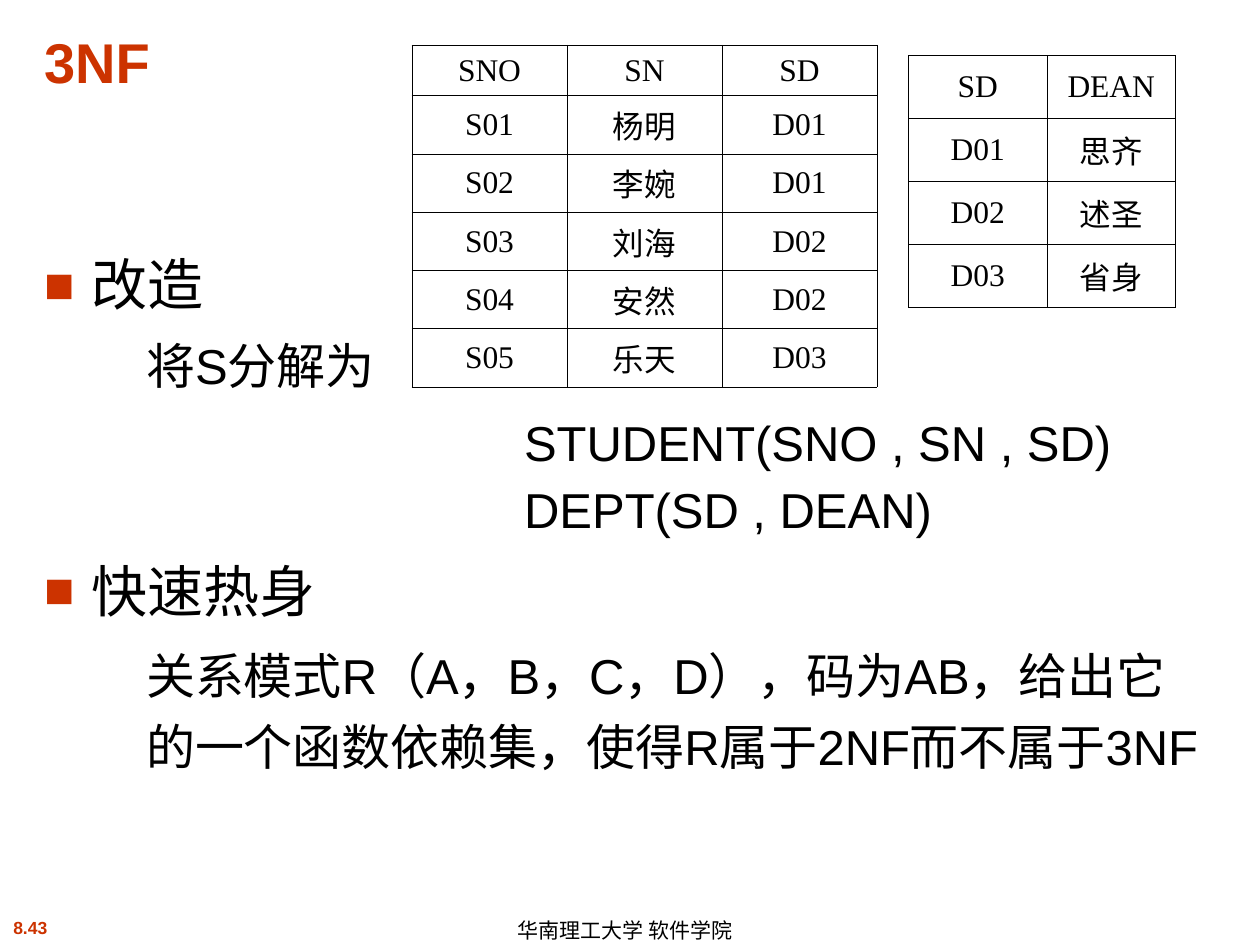
from lxml.etree import SubElement, Element
from pptx import Presentation
from pptx.dml.color import RGBColor
from pptx.enum.text import MSO_ANCHOR as Anchor, MSO_AUTO_SIZE as AutoSize, PP_ALIGN as Align
from pptx.oxml.ns import qn
from pptx.util import Inches, Pt

RED = RGBColor(0xCC, 0x33, 0x00)
BLACK = RGBColor(0, 0, 0)
WHITE = RGBColor(0xFF, 0xFF, 0xFF)

STUDENT_ROWS = [
    ("SNO", "SN", "SD"),
    ("S01", "杨明", "D01"),
    ("S02", "李婉", "D01"),
    ("S03", "刘海", "D02"),
    ("S04", "安然", "D02"),
    ("S05", "乐天", "D03"),
]
DEPT_ROWS = [("SD", "DEAN"), ("D01", "思齐"), ("D02", "述圣"), ("D03", "省身")]

# text, level, left indent, line spacing, space before
BODY_LINES = [
    ("改造", 0, 0.38, 0.95, 0),
    ("将S分解为", 1, 0.81, 0.95, 12.2),
    ("STUDENT(SNO , SN , SD)", 1, 3.81, 0.95, 12.2),
    ("DEPT(SD , DEAN)", 1, 3.81, 0.95, 6),
    ("快速热身", 0, 0.38, 1.1, 6),
    ("关系模式R（A，B，C，D），码为AB，给出它的一个函数依赖集，使得R属于2NF而不属于3NF",
     1, 0.81, 1.2, 6),
]


def style(para, size, color=BLACK, name="Arial", bold=False):
    font = para.font
    font.name, font.size, font.bold = name, Pt(size), bold
    font.color.rgb = color


def place(shape, left, top, width, height):
    shape.left, shape.top = Inches(left), Inches(top)
    shape.width, shape.height = Inches(width), Inches(height)


def add_title(page, text):
    title = page.shapes.title
    place(title, 0.25, 0.13, 9.42, 0.67)
    frame = title.text_frame
    frame.text = text
    frame.auto_size = AutoSize.NONE
    frame.vertical_anchor = Anchor.BOTTOM
    para = frame.paragraphs[0]
    para.alignment = Align.LEFT
    style(para, 32, RED, bold=True)


def set_bullet(para, indent, bulleted):
    props = para._p.get_or_add_pPr()
    props.set("marL", str(Inches(indent)))
    props.set("indent", str(-Inches(indent) if bulleted else 0))
    if bulleted:
        color = SubElement(props, qn("a:buClr"))
        SubElement(color, qn("a:srgbClr"), val=str(RED))
        SubElement(props, qn("a:buSzPct"), val="90000")
        SubElement(props, qn("a:buFont"), typeface="Arial")
        SubElement(props, qn("a:buChar"), char="■")
    else:
        SubElement(props, qn("a:buNone"))


def add_body(page, lines):
    body = page.placeholders[1]
    place(body, 0.25, 1.97, 9.42, 4.94)
    frame = body.text_frame
    frame.auto_size = AutoSize.NONE
    for number, (text, level, indent, spacing, before) in enumerate(lines):
        para = frame.add_paragraph() if number else frame.paragraphs[0]
        para.text = text
        para.level = level
        set_bullet(para, indent, level == 0)
        para.line_spacing = spacing
        para.space_before = Pt(before)
        style(para, 28 if level else 32)


def set_borders(cell):
    props = cell._tc.get_or_add_tcPr()
    for position, side in enumerate(("lnL", "lnR", "lnT", "lnB")):
        line = Element(qn(f"a:{side}"), w=str(Pt(0.45)))
        fill = SubElement(line, qn("a:solidFill"))
        SubElement(fill, qn("a:srgbClr"), val=str(BLACK))
        props.insert(position, line)


def add_grid(page, left, top, widths, row_height, rows):
    frame = page.shapes.add_table(
        len(rows), len(widths), Inches(left), Inches(top),
        Inches(sum(widths)), Inches(row_height * len(rows)))
    table = frame.table
    table.first_row = table.horz_banding = False
    for column, width in zip(table.columns, widths):
        column.width = Inches(width)
    for row, texts in zip(table.rows, rows):
        row.height = Inches(row_height)
        for cell, text in zip(row.cells, texts):
            cell.text = text
            cell.vertical_anchor = Anchor.MIDDLE
            cell.fill.solid()
            cell.fill.fore_color.rgb = WHITE
            set_borders(cell)
            para = cell.text_frame.paragraphs[0]
            para.alignment = Align.CENTER
            style(para, 18, name="Times New Roman")


def add_label(page, bounds, text, anchor, align):
    box = page.shapes.add_textbox(*map(Inches, bounds))
    frame = box.text_frame
    frame.word_wrap = False
    frame.vertical_anchor = anchor
    para = frame.paragraphs[0]
    para.text = text
    para.alignment = align
    return para


def main():
    deck = Presentation()
    deck.slide_width, deck.slide_height = Inches(10), Inches(7.5)
    page = deck.slides.add_slide(deck.slide_layouts[1])

    add_title(page, "3NF")
    add_body(page, BODY_LINES)
    add_grid(page, 3.27, 0.36, [1.23] * 3, 0.4, STUDENT_ROWS)
    add_grid(page, 7.21, 0.44, [1.1, 1.02], 0.5, DEPT_ROWS)

    number = add_label(page, (-0.25, 7.23, 0.98, 0.27), "8.43", Anchor.TOP, Align.CENTER)
    style(number, 10, RED, bold=True)
    footer = add_label(page, (4.01, 7.25, 2.24, 0.25), "华南理工大学 软件学院",
                       Anchor.MIDDLE, Align.LEFT)
    footer.line_spacing = 1.1
    style(footer, 12)

    deck.save("out.pptx")


if __name__ == "__main__":
    main()
